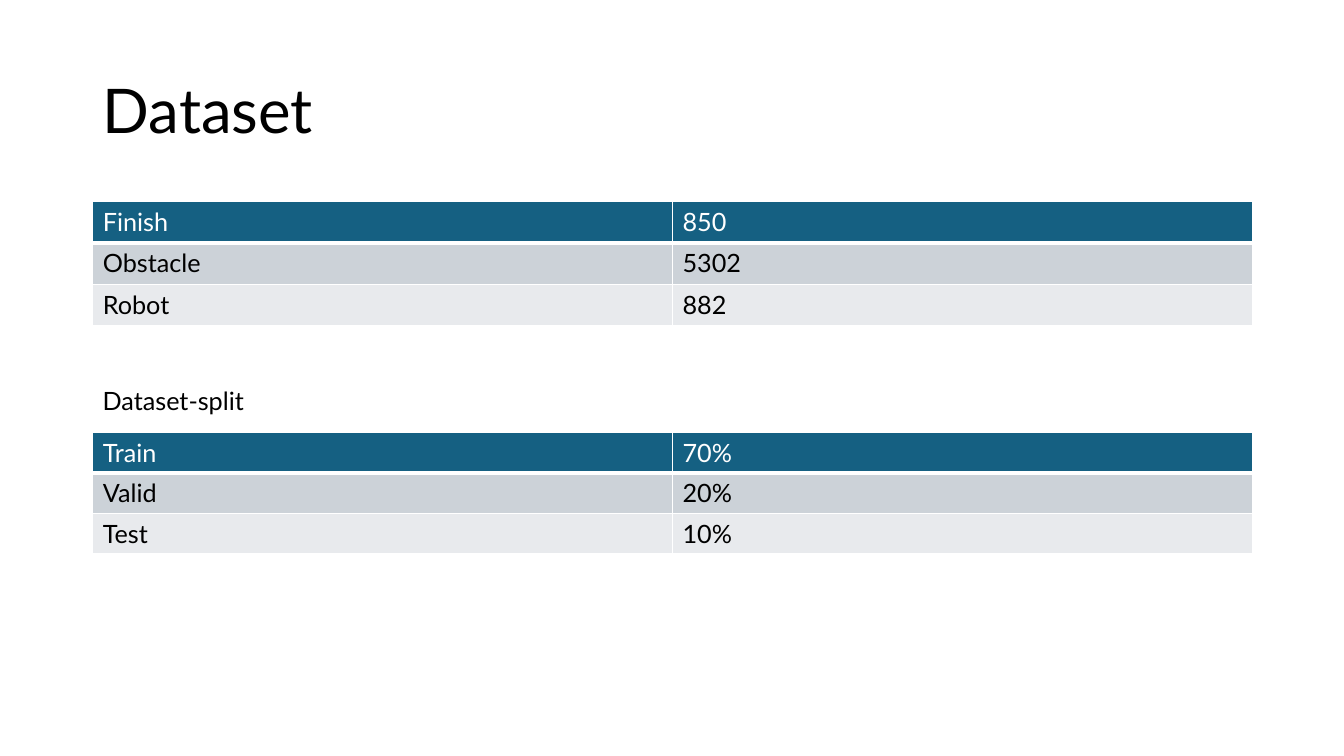
from lxml.etree import SubElement as Sub
from pptx import Presentation
from pptx.dml.color import RGBColor
from pptx.enum.text import MSO_ANCHOR as Anchor, MSO_AUTO_SIZE as Fit, PP_ALIGN as Align
from pptx.oxml.ns import qn
from pptx.util import Pt

PX = 9144
FONT = "Lato"
WHITE = RGBColor(0xFF, 0xFF, 0xFF)
BLACK = RGBColor(0x00, 0x00, 0x00)
TEAL = RGBColor(0x15, 0x60, 0x82)
GREY = RGBColor(0xCC, 0xD2, 0xD8)
PALE = RGBColor(0xE8, 0xEA, 0xED)
LEFT, WIDE = 92, 1150

COUNTS = [("Finish", "850"), ("Obstacle", "5302"), ("Robot", "882")]
SPLIT = [("Train", "70%"), ("Valid", "20%"), ("Test", "10%")]


def px(*vals):
    return [val * PX for val in vals]


def style(frame, size, color):
    for para in frame.paragraphs:
        para.alignment = Align.LEFT
        for run in para.runs:
            font = run.font
            font.name, font.size, font.bold = FONT, Pt(size), False
            font.color.rgb = color


def add_title(slide, text):
    title = slide.shapes.title
    title.left, title.top, title.width, title.height = px(LEFT, 40, WIDE, 145)
    frame = title.text_frame
    frame.text = text
    frame.auto_size = Fit.NONE
    frame.vertical_anchor = Anchor.MIDDLE
    frame.paragraphs[0].line_spacing = 0.9
    style(frame, 44, BLACK)


def add_label(slide, text, top):
    frame = slide.shapes.add_textbox(*px(LEFT, top, WIDE, 40)).text_frame
    frame.text = text
    frame.word_wrap = True
    frame.auto_size = Fit.SHAPE_TO_FIT_TEXT
    style(frame, 18, BLACK)


def add_edges(cell, base):
    props = cell._tc.get_or_add_tcPr()
    for side, width in (("L", 1), ("R", 1), ("T", 1), ("B", base)):
        line = Sub(props, qn(f"a:ln{side}"), w=str(Pt(width)))
        fill = Sub(line, qn("a:solidFill"))
        Sub(fill, qn("a:srgbClr"), val=str(WHITE))


def add_grid(slide, rows, top, step):
    cols = len(rows[0])
    box = px(LEFT, top, WIDE, step * len(rows))
    table = slide.shapes.add_table(len(rows), cols, *box).table
    for col in table.columns:
        col.width = WIDE * PX // cols
    for i, row in enumerate(rows):
        table.rows[i].height = step * PX
        head = i == 0
        for j, text in enumerate(row):
            cell = table.cell(i, j)
            cell.text_frame.text = text
            style(cell.text_frame, 18, WHITE if head else BLACK)
            add_edges(cell, 3 if head else 1)
            cell.fill.solid()
            cell.fill.fore_color.rgb = TEAL if head else (PALE, GREY)[i % 2]
    for i in range(cols):
        for cell in (table.cell(1, i),):
            edge = cell._tc.tcPr.find(qn("a:lnT"))
            edge.set("w", str(Pt(3)))


def main():
    deck = Presentation()
    deck.slide_width, deck.slide_height = px(1333, 750)
    slide = deck.slides.add_slide(deck.slide_layouts[5])
    add_title(slide, "Dataset")
    add_grid(slide, COUNTS, 200, 41)
    add_label(slide, "Dataset-split", 377)
    add_grid(slide, SPLIT, 429, 40)
    deck.save("out.pptx")


if __name__ == "__main__":
    main()
